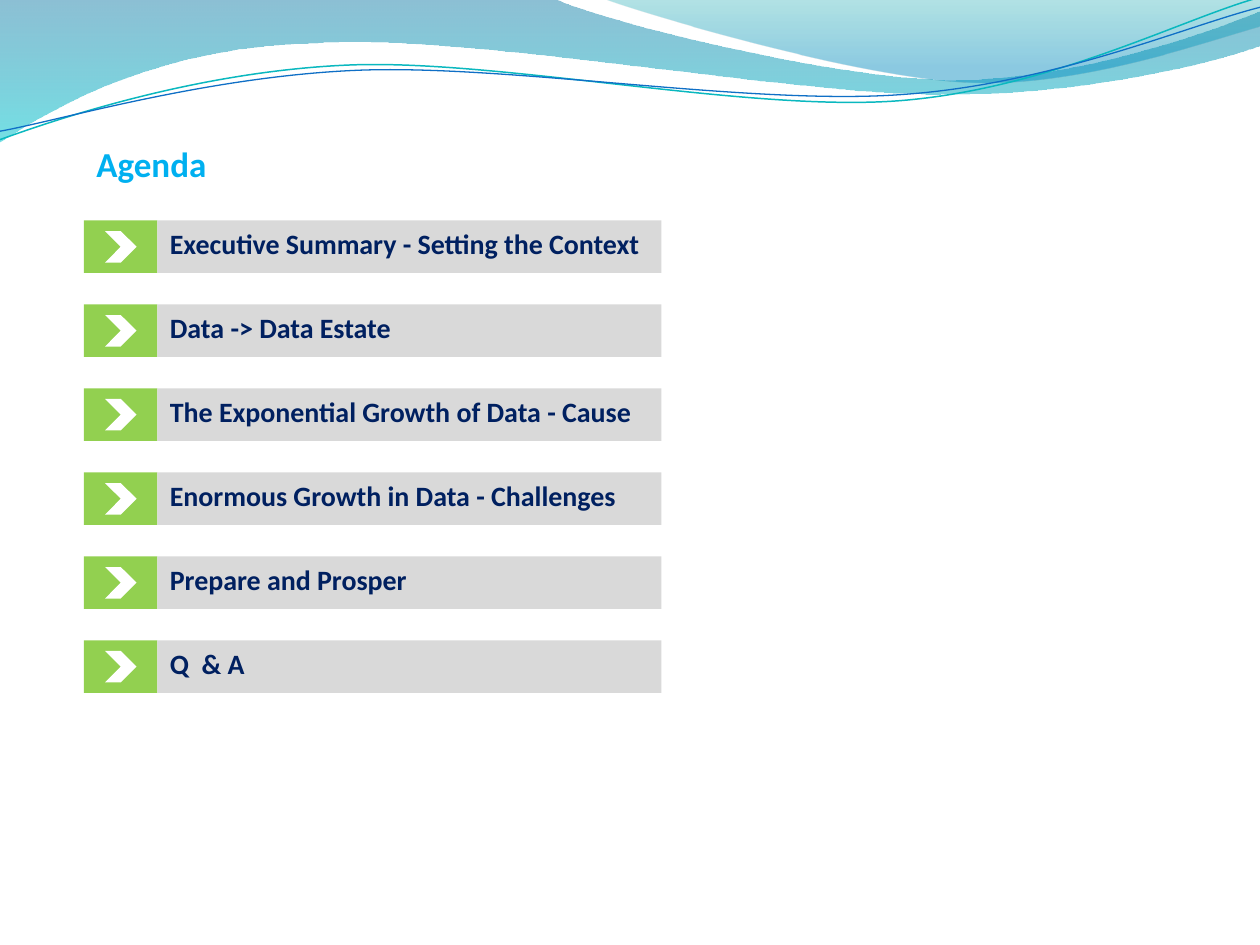
from lxml.etree import SubElement
from pptx import Presentation
from pptx.dml.color import RGBColor
from pptx.enum.shapes import MSO_SHAPE
from pptx.enum.text import MSO_AUTO_SIZE
from pptx.oxml.ns import qn
from pptx.util import Emu, Pt

PX = 7620  # EMU per px, 120 px to the inch
COLORS = {
    "title": "00B0F0",
    "item_text": "002060",
    "marker": "92D050",
    "chevron": "FFFFFF",
    "bar": "D9D9D9",
    "teal_line": "0AB8BF",
    "blue_line": "0F6FC6",
    "wave_top": "0074A1",
    "wave_bottom": "00C6CF",
    "crest_top": "00A1A9",
    "crest_bottom": "008BBF",
}

# Outlines: a start point, then segments of one point (line) or three (Bézier curve).
WAVE = [
    (0, 0),
    [(528, -1)],
    [(571, 20), (797, 76), (910, 76)],
    [(1024, 76), (1150, 31), (1200, 11)],
    [(1201, 43)],
    [(1180, 53), (1044, 91), (895, 90)],
    [(746, 90), (458, 34), (308, 41)],
    [(154, 43), (55, 100), (-1, 136)],
    [(0, 0)],
]
CREST = [
    (575, -1),
    [(611, 13), (818, 74), (923, 78)],
    [(1027, 83), (1153, 38), (1200, 25)],
    [(1200, 0)],
    [(575, -1)],
]
TEAL_CURVE = [
    (0, 133),
    [(58, 112), (190, 68), (332, 62)],
    [(474, 56), (712, 107), (856, 96)],
    [(999, 85), (1126, 18), (1198, -2)],
]
BLUE_CURVE = [
    (0, 125),
    [(56, 115), (197, 73), (340, 67)],
    [(484, 61), (716, 101), (860, 90)],
    [(1003, 80), (1129, 25), (1200, 7)],
]

# Agenda wording and the width of its text box
AGENDA = [
    ("Executive Summary - Setting the Context", 484),
    ("Data -> Data Estate", 236),
    ("The Exponential Growth of Data - Cause", 469),
    ("Enormous Growth in Data - Challenges", 455),
    ("Prepare and Prosper", 253),
    ("Q  & A", 96),
]


def px(*lengths):
    return [Emu(round(length * PX)) for length in lengths]


def rgb(name):
    return RGBColor.from_string(COLORS[name])


def add_text(slide, text, left, top, width, height, *, size, color, bold=True, font="Calibri"):
    frame = slide.shapes.add_textbox(*px(left, top, width, height)).text_frame
    frame.word_wrap = False
    frame.auto_size = MSO_AUTO_SIZE.SHAPE_TO_FIT_TEXT
    run = frame.paragraphs[0].add_run()
    run.text = text
    run.font.name = font
    run.font.size = Pt(size)
    run.font.bold = bold
    run.font.color.rgb = rgb(color)


def add_block(slide, preset, left, top, width, height, color):
    shape = slide.shapes.add_shape(preset, *px(left, top, width, height))
    shape.shadow.inherit = False
    shape.fill.solid()
    shape.fill.fore_color.rgb = rgb(color)
    shape.line.fill.background()


def add_outline(slide, outline, left, top, close):
    """Build a freeform from the end points, then bend its curved segments."""
    start, *segments = outline
    ends = [px(left + x, top + y) for x, y in (segment[-1] for segment in segments)]
    builder = slide.shapes.build_freeform(*px(left + start[0], top + start[1]), scale=1.0)
    builder.add_line_segments(ends, close=close)
    shape = builder.convert_to_shape()
    shape.shadow.inherit = False
    lines = list(shape.element.spPr.iter(qn("a:lnTo")))
    for line, segment in zip(lines, segments):
        if len(segment) == 3:
            line.tag = qn("a:cubicBezTo")
            line.clear()
            for x, y in segment:
                point_x, point_y = px(left + x, top + y)
                SubElement(line, qn("a:pt"), x=str(point_x - shape.left), y=str(point_y - shape.top))
    return shape


def add_wave(slide, outline, left, top, stops):
    """Fill an outline downwards with stops of (position, colour, opacity percent)."""
    shape = add_outline(slide, outline, left, top, close=True)
    shape.line.fill.background()
    shape.fill.gradient()
    shape.fill.gradient_angle = 270
    for stop, (position, color, _) in zip(shape.fill.gradient_stops, stops):
        stop.position = position
        stop.color.rgb = rgb(color)
    colors = shape.element.spPr.iter(qn("a:srgbClr"))
    for element, (_, _, opacity) in zip(colors, stops):
        SubElement(element, qn("a:alpha"), val=str(opacity * 1000))


def add_curve(slide, outline, left, top, color, width):
    shape = add_outline(slide, outline, left, top, close=False)
    shape.fill.background()
    shape.line.color.rgb = rgb(color)
    shape.line.width = Pt(width)


def add_header_waves(slide, left, top):
    add_wave(slide, WAVE, left, top, [(0, "wave_top", 45), (1, "wave_bottom", 55)])
    add_wave(slide, CREST, left, top, [(0, "crest_top", 30), (0.8, "crest_bottom", 45)])
    add_curve(slide, TEAL_CURVE, left, top, "teal_line", 0.85)
    add_curve(slide, BLUE_CURVE, left, top, "blue_line", 0.75)


def add_agenda_row(slide, text, text_width, left, top, width, height):
    marker_width, chevron_size = 70, 30
    bar_left = left + marker_width
    add_block(slide, MSO_SHAPE.RECTANGLE, left, top, marker_width, height, "marker")
    add_block(slide, MSO_SHAPE.CHEVRON, left + (marker_width - chevron_size) / 2,
              top + (height - chevron_size) / 2, chevron_size, chevron_size, "chevron")
    add_block(slide, MSO_SHAPE.RECTANGLE, bar_left, top, width - marker_width, height, "bar")
    add_text(slide, text, bar_left, top, text_width, 44, size=16, color="item_text")


def add_agenda(slide, left, top, width):
    row_height, pitch = 50, 80
    for index, (text, text_width) in enumerate(AGENDA):
        add_agenda_row(slide, text, text_width, left, top + index * pitch, width, row_height)


def main():
    presentation = Presentation()
    presentation.slide_width, presentation.slide_height = px(1200, 900)
    slide = presentation.slides.add_slide(presentation.slide_layouts[6])
    add_header_waves(slide, 0, 0)
    add_text(slide, "Agenda", 80, 130, 130, 53, size=20, color="title")
    add_agenda(slide, 80, 210, 550)
    presentation.save("out.pptx")


if __name__ == "__main__":
    main()
